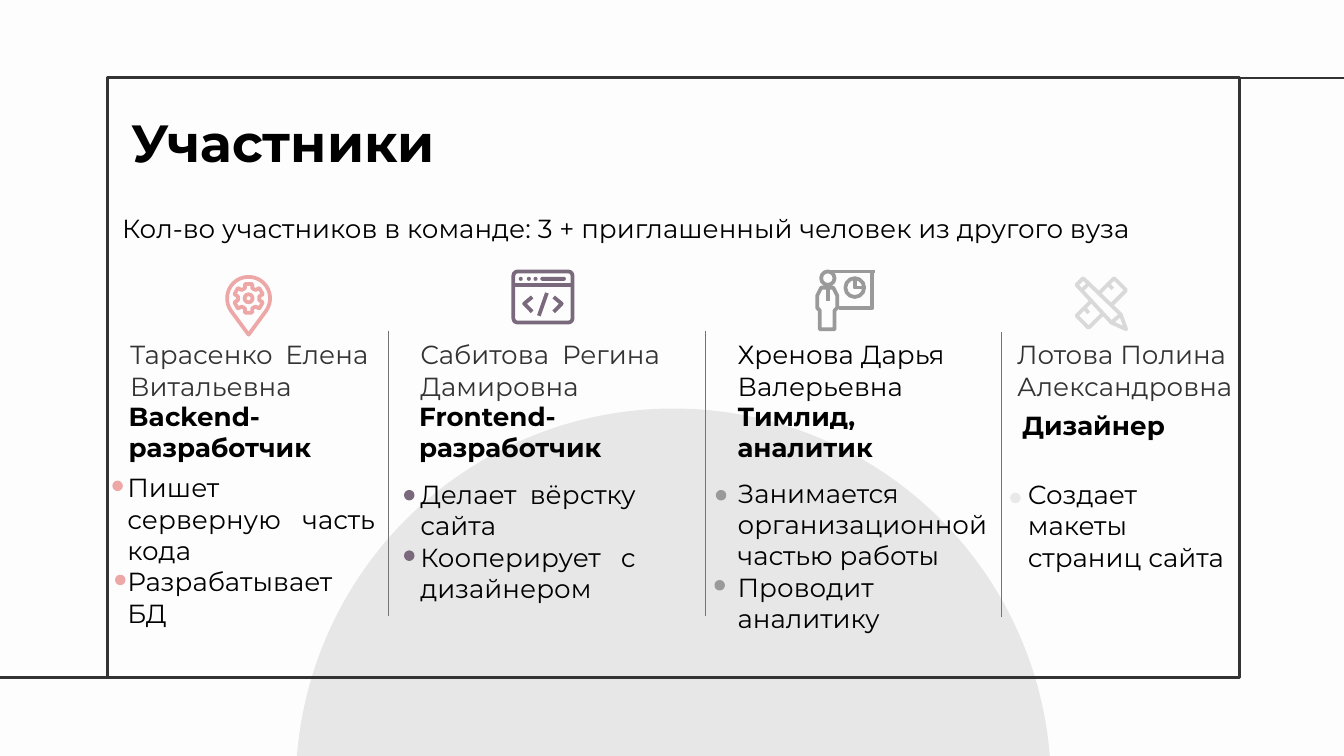
from math import cos, radians, sin

from lxml.etree import SubElement
from pptx import Presentation
from pptx.dml.color import RGBColor
from pptx.enum.shapes import MSO_CONNECTOR, MSO_SHAPE
from pptx.enum.text import MSO_AUTO_SIZE, PP_ALIGN
from pptx.oxml.ns import qn
from pptx.util import Inches, Pt

BACKGROUND = "FDFDFD"
FRAME = "333333"
DIVIDER = "747474"
BLACK = "000000"
TITLE = "Участники"
SUBTITLE = "Кол-во участников в команде: 3 + приглашенный человек из другого вуза"

# Text positions are (left, top, width); dots are (left, top).
MEMBERS = [
    {"color": "EDA7A7", "name_color": FRAME, "name_align": PP_ALIGN.JUSTIFY,
     "name": ["Тарасенко Елена Витальевна"], "name_at": (0.87, 2.47, 1.97),
     "role": "Backend-разработчик", "role_at": (0.86, 2.93, 2.03),
     "tasks": ["Пишет серверную часть кода", "Разрабатывает БД"],
     "tasks_at": (0.85, 3.46, 2.04), "dots": [(0.85, 3.59), (0.87, 4.29)]},
    {"color": "7A687C", "name_color": FRAME, "name_align": PP_ALIGN.JUSTIFY,
     "name": ["Сабитова Регина Дамировна"], "name_at": (3.03, 2.47, 1.98),
     "role": "Frontend-разработчик", "role_at": (3.02, 2.93, 2.43),
     "tasks": ["Делает вёрстку сайта", "Кооперирует с дизайнером"],
     "tasks_at": (3.03, 3.51, 1.8), "dots": [(3.02, 3.66), (3.02, 4.11)]},
    {"color": "9A9A9A", "name_color": BLACK, "name_align": PP_ALIGN.LEFT,
     "name": ["Хренова Дарья Валерьевна"], "name_at": (5.39, 2.47, 2.26),
     "role": "Тимлид, аналитик", "role_at": (5.39, 2.93, 1.98),
     "tasks": ["Занимается организационной частью работы", "Проводит аналитику"],
     "tasks_at": (5.39, 3.5, 2.23), "dots": [(5.34, 3.66), (5.33, 4.33)]},
    {"color": "E9E9E9", "name_color": FRAME, "name_align": PP_ALIGN.JUSTIFY,
     "name": ["Лотова Полина", "Александровна"], "name_at": (7.47, 2.47, 2.2),
     "role": "Дизайнер", "role_at": (7.51, 3, 2.2),
     "tasks": ["Создает макеты страниц сайта"],
     "tasks_at": (7.55, 3.51, 1.69), "dots": [(7.53, 3.68)]},
]
DIVIDERS = [(2.89, 2.46), (5.25, 2.46), (7.45, 2.47)]
DIVIDER_HEIGHT = 2.12


def polar(center, radius, angle):
    return (center[0] + radius * cos(radians(angle)),
            center[1] + radius * sin(radians(angle)))


PIN = (1.85, 2.22)
PIN_OUTLINE = [polar(PIN, 0.16, angle) for angle in range(145, 396, 10)] + [(1.85, 2.49)]
GEAR_OUTLINE = [polar(PIN, radius, tooth + offset)
                for tooth in range(30, 390, 60)
                for radius, offset in ((0.08, -20), (0.11, -14), (0.11, 14), (0.08, 20))]

# Each icon: closed outlines, open strokes, circles (x, y, radius), bars (x, y, w, h).
ICONS = [
    {"color": "EDA7A7", "closed": [PIN_OUTLINE, GEAR_OUTLINE], "circles": [(*PIN, 0.03)]},
    {"color": "7A687C",
     "closed": [],
     "strokes": [[(3.83, 2.12), (4.26, 2.12)],
                 [(3.96, 2.21), (3.9, 2.26), (3.96, 2.32)],
                 [(4.12, 2.21), (4.18, 2.26), (4.12, 2.32)],
                 [(4.07, 2.18), (4.01, 2.35)]],
     "panel": (3.82, 2.02, 0.44, 0.38),
     "bars": [(3.86, 2.06, 0.03, 0.03), (3.92, 2.06, 0.03, 0.03),
              (3.97, 2.06, 0.03, 0.03), (4.02, 2.06, 0.19, 0.03)]},
    {"color": "9A9A9A",
     "closed": [[(6.1, 2.31), (6.1, 2.45), (6.21, 2.45), (6.21, 2.31), (6.23, 2.29),
                 (6.23, 2.2), (6.2, 2.14), (6.11, 2.14), (6.08, 2.2), (6.08, 2.29)]],
     "strokes": [[(6.16, 2.02), (6.51, 2.02)],
                 [(6.49, 2.02), (6.49, 2.29), (6.24, 2.29)],
                 [(6.16, 2.14), (6.16, 2.24)],
                 [(6.36, 2.07), (6.36, 2.14), (6.43, 2.14)]],
     "circles": [(6.16, 2.07, 0.05), (6.36, 2.14, 0.07)]},
    {"color": "D9D9D9",
     "closed": [[(8.29, 2.07), (8.38, 2.16), (8.1, 2.44), (8.01, 2.35)],
                [(8.01, 2.12), (8.06, 2.07), (8.34, 2.34), (8.38, 2.45), (8.27, 2.4)]],
     "strokes": [[(8.05, 2.16), (8.1, 2.11)], [(8.27, 2.4), (8.34, 2.34)],
                 [(8.24, 2.11), (8.28, 2.15)], [(8.07, 2.29), (8.1, 2.33)]]},
]


def rgb(color):
    return RGBColor.from_string(color)


def style(shape, fill=None, line=None, width=2):
    shape.shadow.inherit = False
    if fill:
        shape.fill.solid()
        shape.fill.fore_color.rgb = rgb(fill)
    else:
        shape.fill.background()
    if line:
        shape.line.color.rgb = rgb(line)
        shape.line.width = Pt(width)
    else:
        shape.line.fill.background()
    return shape


def add_preset(shapes, kind, box, **look):
    return style(shapes.add_shape(kind, *map(Inches, box)), **look)


def add_line(shapes, start, end, color, width):
    line = shapes.add_connector(MSO_CONNECTOR.STRAIGHT, *map(Inches, (*start, *end)))
    line.line.color.rgb = rgb(color)
    line.line.width = Pt(width)
    SubElement(line._element.spPr, qn("a:effectLst"))


def add_outline(shapes, points, close, **look):
    points = [(Inches(x), Inches(y)) for x, y in points]
    builder = shapes.build_freeform(*points[0])
    builder.add_line_segments(points[1:], close=close)
    style(builder.convert_to_shape(), **look)


def add_text(shapes, paragraphs, at, height, size=14, color=BLACK, bold=False,
             align=PP_ALIGN.LEFT):
    left, top, width = at
    frame = shapes.add_textbox(*map(Inches, (left, top, width, height))).text_frame
    frame.word_wrap = True
    frame.auto_size = MSO_AUTO_SIZE.SHAPE_TO_FIT_TEXT
    for index, text in enumerate(paragraphs):
        paragraph = frame.add_paragraph() if index else frame.paragraphs[0]
        paragraph.alignment = align
        run = paragraph.add_run()
        run.text = text
        run.font.name = "Montserrat"
        run.font.size = Pt(size)
        run.font.bold = bold
        run.font.color.rgb = rgb(color)


def add_icon(shapes, icon):
    parts = shapes.add_group_shape().shapes
    color = icon["color"]
    if "panel" in icon:
        panel = add_preset(parts, MSO_SHAPE.ROUNDED_RECTANGLE, icon["panel"], line=color)
        panel.adjustments[0] = 0.08
    for points in icon["closed"]:
        add_outline(parts, points, True, fill=BACKGROUND, line=color)
    for points in icon.get("strokes", []):
        add_outline(parts, points, False, line=color)
    for x, y, radius in icon.get("circles", []):
        box = (x - radius, y - radius, 2 * radius, 2 * radius)
        add_preset(parts, MSO_SHAPE.OVAL, box, line=color)
    for box in icon.get("bars", []):
        bar = add_preset(parts, MSO_SHAPE.ROUNDED_RECTANGLE, box, fill=color)
        bar.adjustments[0] = 0.5


def add_member(shapes, member):
    add_text(shapes, member["name"], member["name_at"], 0.57,
             color=member["name_color"], align=member["name_align"])
    add_text(shapes, [member["role"]], member["role_at"], 0.57, bold=True)
    add_text(shapes, member["tasks"], member["tasks_at"], 1.04, align=PP_ALIGN.JUSTIFY)
    for dot in member["dots"]:
        add_preset(shapes, MSO_SHAPE.OVAL, (*dot, 0.05, 0.05),
                   fill=member["color"], line=member["color"])


def main():
    presentation = Presentation()
    presentation.slide_width = Inches(10)
    presentation.slide_height = Inches(10 * 9 / 16)
    slide = presentation.slides.add_slide(presentation.slide_layouts[6])
    slide.background.fill.solid()
    slide.background.fill.fore_color.rgb = rgb(BACKGROUND)
    shapes = slide.shapes

    add_preset(shapes, MSO_SHAPE.OVAL, (2.2, 3.04, 5.62, 5.62), fill="E8E7E7")
    add_preset(shapes, MSO_SHAPE.RECTANGLE, (0.8, 0.58, 8.42, 4.46), line=FRAME, width=1.5)
    add_line(shapes, (10, 0.58), (9.22, 0.58), FRAME, 1.5)
    add_line(shapes, (0.8, 5.04), (0, 5.04), FRAME, 1.5)
    add_text(shapes, [TITLE], (0.88, 0.77, 4.98), 0.57, size=28, bold=True)
    add_text(shapes, [SUBTITLE], (0.81, 1.53, 7.92), 0.34)

    for icon in ICONS:
        add_icon(shapes, icon)
    for x, top in DIVIDERS:
        add_line(shapes, (x, top), (x, top + DIVIDER_HEIGHT), DIVIDER, 0.75)
    for member in MEMBERS:
        add_member(shapes, member)
    presentation.save("out.pptx")


if __name__ == "__main__":
    main()
